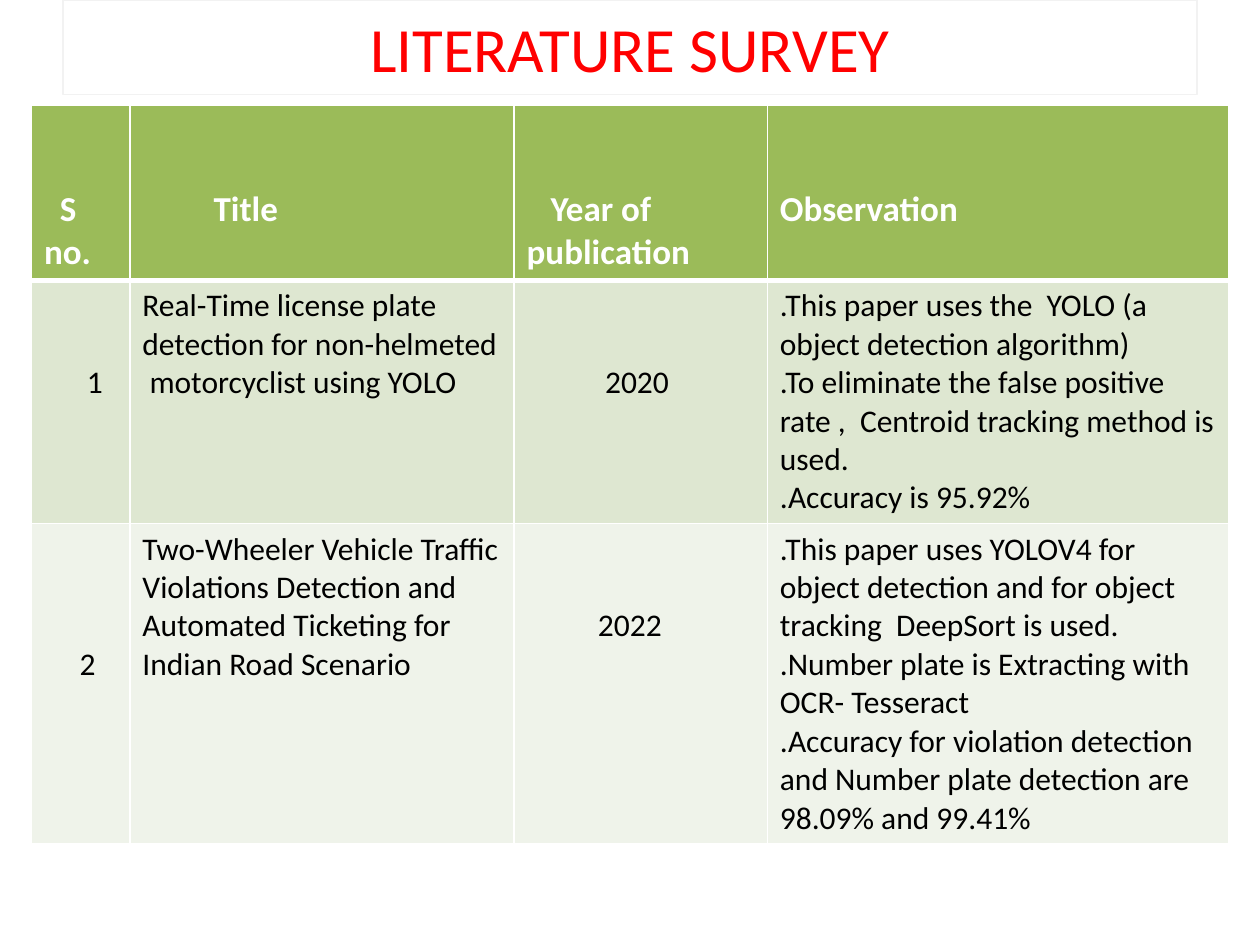
from lxml import etree
from pptx import Presentation
from pptx.dml.color import RGBColor
from pptx.enum.shapes import MSO_SHAPE
from pptx.enum.text import MSO_ANCHOR, PP_ALIGN
from pptx.oxml.ns import qn
from pptx.util import Pt

RECTANGLE = MSO_SHAPE.RECTANGLE
MIDDLE, CENTER = MSO_ANCHOR.MIDDLE, PP_ALIGN.CENTER
FONT = "Calibri"
COLORS = {
    "title": "FF0000", "frame": "F2F2F2", "header": "9BBB59",
    "odd": "DEE7D1", "even": "EFF3EA", "white": "FFFFFF", "black": "000000",
}

# Content: each cell is (paragraphs, lines left free above, first-line indent)
TITLE = "LITERATURE SURVEY"
ROWS = [
    [(["S no."], 2, 9), (["Title"], 2, 40.7),
     (["Year of publication"], 2, 13.6), (["Observation"], 2, 0)],
    [(["1"], 2, 24.4),
     (["Real-Time license plate detection for non-helmeted  motorcyclist using YOLO"], 0, 0),
     (["2020"], 2, 44.8),
     ([".This paper uses the  YOLO (a object detection algorithm)",
       ".To eliminate the false positive  rate ,  Centroid tracking method is used.",
       ".Accuracy is 95.92%"], 0, 0)],
    [(["2"], 3, 20.3),
     (["Two-Wheeler Vehicle Traffic Violations Detection and Automated Ticketing "
       "for Indian Road Scenario"], 0, 0),
     (["2022"], 2, 40.7),
     ([".This paper uses YOLOV4 for object detection and for object  tracking  DeepSort is used.",
       ".Number plate is Extracting with OCR- Tesseract",
       ".Accuracy for violation detection and Number plate detection are 98.09% and 99.41%"], 0, 0)],
]
COLUMN_WIDTHS = [56.2, 219.6, 144.7, 263.5]
ROW_HEIGHTS = [99, 139, 183]
ROW_FILLS = ["header", "odd", "even"]
LINE_HEIGHT, CELL_MARGIN = 22, 3.6


def color(name):
    return RGBColor.from_string(COLORS[name])


def add_run(paragraph, text, size, color_name, bold=False):
    run = paragraph.add_run()
    run.text = text
    run.font.name, run.font.size, run.font.bold = FONT, Pt(size), bold
    run.font.color.rgb = color(color_name)


def set_borders(cell, top, bottom):
    properties = cell._tc.get_or_add_tcPr()
    widths = {"a:lnL": 1, "a:lnR": 1, "a:lnT": top, "a:lnB": bottom}
    for position, (tag, width) in enumerate(widths.items()):
        line = etree.Element(qn(tag), w=str(Pt(width)))
        fill = etree.SubElement(line, qn("a:solidFill"))
        etree.SubElement(fill, qn("a:srgbClr"), val=COLORS["white"])
        properties.insert(position, line)


def fill_cell(cell, content, row_index):
    paragraphs, free_lines, indent = content
    is_header = row_index == 0
    cell.fill.solid()
    cell.fill.fore_color.rgb = color(ROW_FILLS[row_index])
    set_borders(cell, 3 if row_index == 1 else 1, 3 if is_header else 1)
    cell.margin_top = Pt(CELL_MARGIN + free_lines * LINE_HEIGHT)
    frame = cell.text_frame
    for index, text in enumerate(paragraphs):
        paragraph = frame.add_paragraph() if index else frame.paragraphs[0]
        paragraph._p.get_or_add_pPr().set("indent", str(Pt(indent)))
        add_run(paragraph, text, 20 if is_header else 18,
                "white" if is_header else "black", is_header)


presentation = Presentation()
presentation.slide_width, presentation.slide_height = Pt(720), Pt(540)
slide = presentation.slides.add_slide(presentation.slide_layouts[6])

# Title box
title = slide.shapes.add_shape(RECTANGLE, Pt(36), Pt(0), Pt(648), Pt(54))
title.shadow.inherit = False
title.fill.background()
title.line.color.rgb = color("frame")
title.line.width = Pt(0.75)
title.text_frame.vertical_anchor = MIDDLE
heading = title.text_frame.paragraphs[0]
heading.alignment = CENTER
add_run(heading, TITLE, 36, "title")

# Survey table
table = slide.shapes.add_table(
    len(ROWS), len(COLUMN_WIDTHS), Pt(18), Pt(60),
    Pt(sum(COLUMN_WIDTHS)), Pt(sum(ROW_HEIGHTS))).table
for column, width in zip(table.columns, COLUMN_WIDTHS):
    column.width = Pt(width)
for row_index, cells in enumerate(ROWS):
    table.rows[row_index].height = Pt(ROW_HEIGHTS[row_index])
    for column_index, content in enumerate(cells):
        fill_cell(table.cell(row_index, column_index), content, row_index)

presentation.save("out.pptx")
